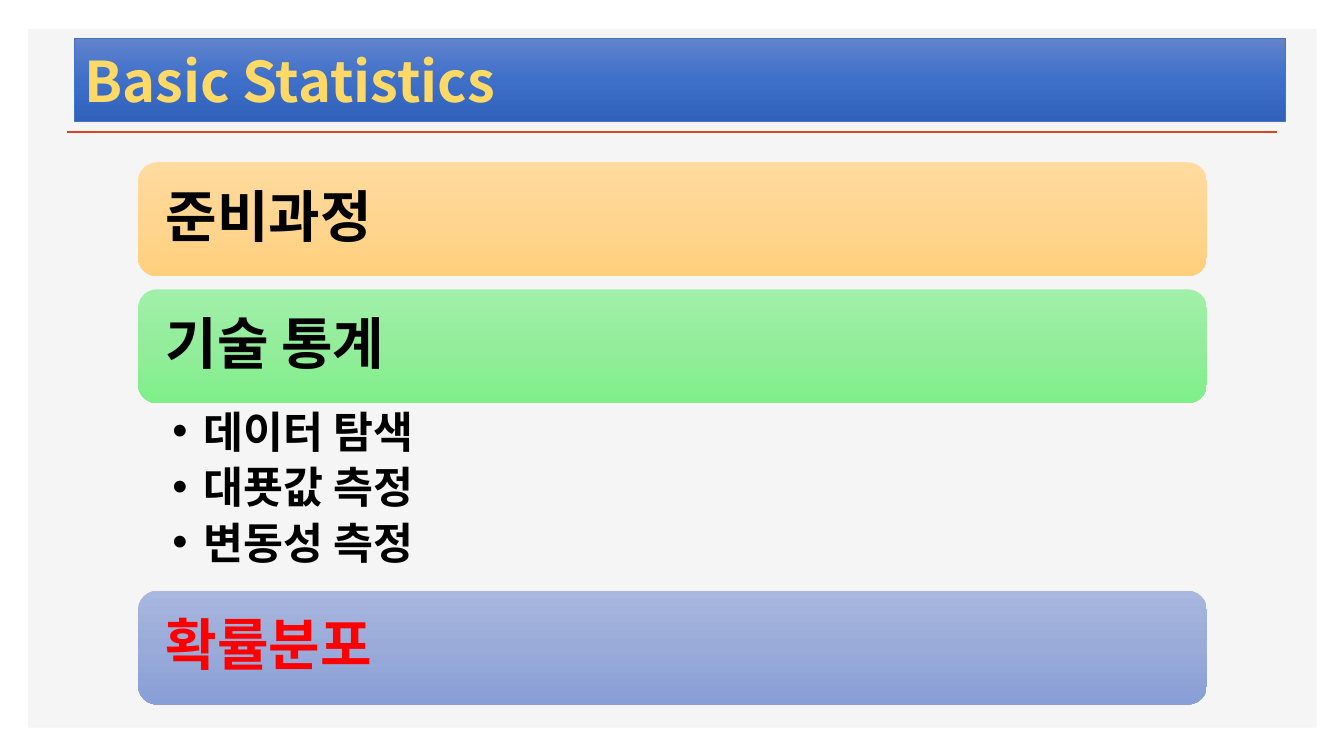
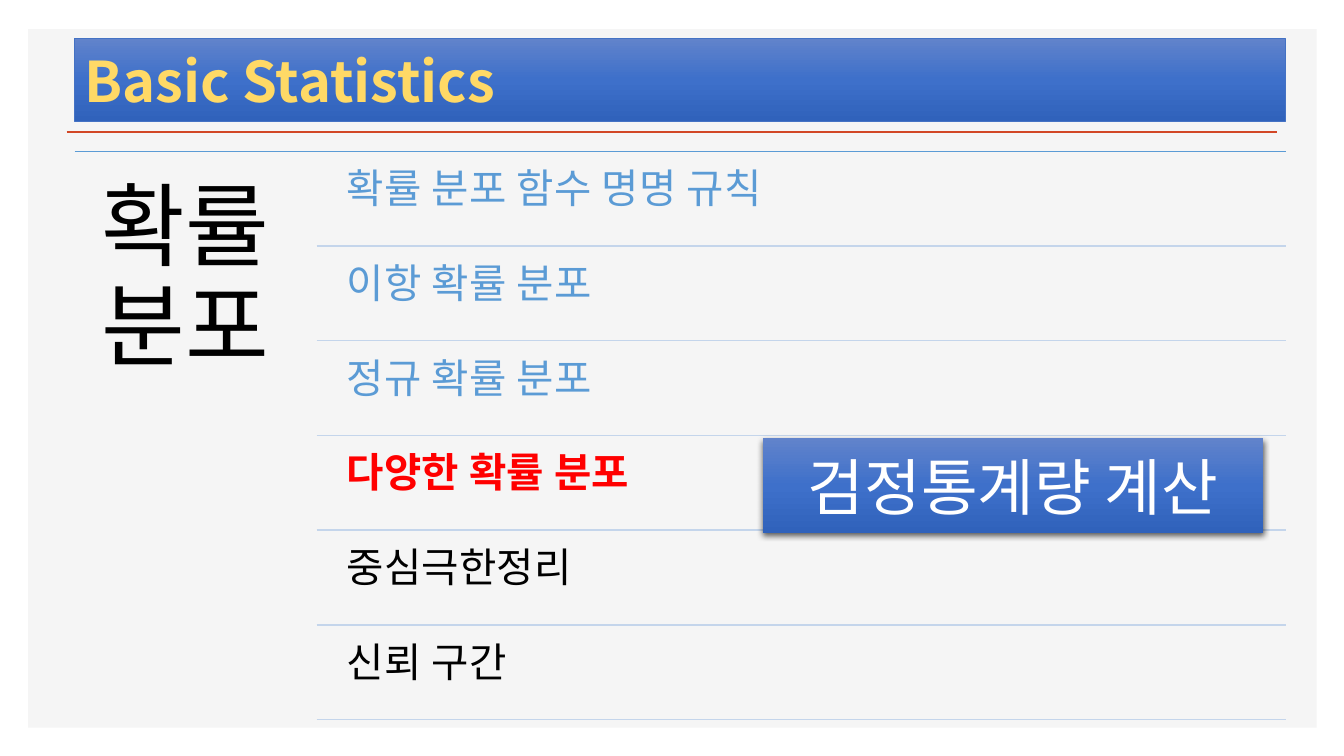
"""Build two Basic Statistics slides: the chapter overview and the probability topics."""
from copy import deepcopy

from lxml.etree import SubElement
from pptx import Presentation
from pptx.dml.color import RGBColor
from pptx.enum.shapes import MSO_CONNECTOR, MSO_SHAPE
from pptx.enum.text import MSO_ANCHOR, MSO_AUTO_SIZE, PP_ALIGN
from pptx.oxml.ns import qn
from pptx.util import Inches, Pt

BLACK = RGBColor(0x00, 0x00, 0x00)
WHITE = RGBColor(0xFF, 0xFF, 0xFF)
RED = RGBColor(0xFF, 0x00, 0x00)
GOLD = RGBColor(0xFF, 0xD9, 0x66)
PANEL = RGBColor(0xF5, 0xF5, 0xF5)
RULE = RGBColor(0xD2, 0x47, 0x26)
BAND_EDGE = RGBColor(0x44, 0x72, 0xC4)
SKY = RGBColor(0x5B, 0x9B, 0xD5)
PALE = RGBColor(0xC4, 0xD5, 0xEB)
BLUES = [RGBColor(0x61, 0x83, 0xCB), RGBColor(0x3E, 0x70, 0xCA), RGBColor(0x30, 0x62, 0xBB)]
ORANGES = [RGBColor(0xFF, 0xDB, 0x9E), RGBColor(0xFF, 0xD5, 0x90), RGBColor(0xFF, 0xD0, 0x7C)]
GREENS = [RGBColor(0xA1, 0xF0, 0xA9), RGBColor(0x93, 0xED, 0x9B), RGBColor(0x7F, 0xEF, 0x89)]
LAVENDERS = [RGBColor(0xA8, 0xB7, 0xDF), RGBColor(0x9A, 0xAB, 0xD9), RGBColor(0x88, 0x9E, 0xD7)]
NOTO = "Noto Sans CJK KR"
ROBOTO = "Roboto"


def write(paragraph, text, size, color, font=NOTO, bold=False):
    run = paragraph.add_run()
    run.text = text
    run.font.name = font
    run.font.size = Pt(size)
    run.font.bold = bold
    run.font.color.rgb = color
    SubElement(run._r.get_or_add_rPr(), qn("a:ea"), typeface=font)


def paint(shape, colors):
    shape.fill.gradient()
    shape.fill.gradient_angle = 270
    stop_list = shape.element.spPr.find(".//" + qn("a:gsLst"))
    stop_list.append(deepcopy(stop_list[-1]))
    for stop, color, position in zip(shape.fill.gradient_stops, colors, (0, 0.5, 1)):
        stop.color.rgb = color
        stop.position = position


presentation = Presentation()
presentation.slide_width = Inches(13.33)
presentation.slide_height = Inches(7.5)
content_layout = presentation.slide_layouts[1]
overview, topics = [presentation.slides.add_slide(content_layout) for _ in range(2)]

panel = overview.shapes.add_shape(
    MSO_SHAPE.RECTANGLE, Inches(0.28), Inches(0.29), Inches(12.78), Inches(6.93))
panel.fill.solid()
panel.fill.fore_color.rgb = PANEL
panel.line.fill.background()
panel.shadow.inherit = False

title_rule = overview.shapes.add_connector(
    MSO_CONNECTOR.STRAIGHT, Inches(0.66), Inches(1.31), Inches(12.67), Inches(1.31))
title_rule.line.color.rgb = RULE
title_rule.line.width = Pt(2)
SubElement(title_rule.element.spPr, qn("a:effectLst"))

master_tree = presentation.slide_master.shapes.element
for index, part in enumerate((panel, title_rule)):
    part.element.find(".//" + qn("p:cNvPr")).set("id", str(101 + index))
    master_tree.insert(2 + index, part.element)

for slide in (overview, topics):
    title = slide.shapes.title
    title.left, title.top = Inches(0.74), Inches(0.38)
    title.width, title.height = Inches(12.01), Inches(0.82)
    paint(title, BLUES)
    title.line.color.rgb = BAND_EDGE
    title.line.width = Pt(0.5)
    title.text_frame.vertical_anchor = MSO_ANCHOR.MIDDLE
    title.text_frame.auto_size = MSO_AUTO_SIZE.NONE
    paragraph = title.text_frame.paragraphs[0]
    paragraph.alignment = PP_ALIGN.LEFT
    write(paragraph, "Basic Statistics", 40, GOLD, bold=True)

chapters = [
    ("준비과정", 1.61, ORANGES, BLACK),
    ("기술 통계", 2.87, GREENS, BLACK),
    ("확률분포", 5.86, LAVENDERS, RED),
]
for text, top, colors, color in chapters:
    chapter = overview.shapes.add_shape(
        MSO_SHAPE.ROUNDED_RECTANGLE, Inches(1.37), Inches(top), Inches(10.6), Inches(1.13))
    paint(chapter, colors)
    chapter.line.fill.background()
    chapter.shadow.inherit = False
    chapter.text_frame.margin_left = Inches(0.22)
    chapter.text_frame.vertical_anchor = MSO_ANCHOR.MIDDLE
    paragraph = chapter.text_frame.paragraphs[0]
    paragraph.alignment = PP_ALIGN.LEFT
    paragraph.line_spacing = 0.9
    write(paragraph, text, 40, color, bold=True)

heading = topics.shapes.add_textbox(Inches(0.74), Inches(1.5), Inches(2.4), Inches(5.69))
frame = heading.text_frame
frame.word_wrap = True
frame.margin_left = frame.margin_right = frame.margin_top = frame.margin_bottom = Inches(0.27)
frame.paragraphs[0].line_spacing = Pt(71)
write(frame.paragraphs[0], "확률분포", 65, BLACK, ROBOTO)

steps = [(text, BLACK, True) for text in ("데이터 탐색", "대푯값 측정", "변동성 측정")]
subjects = [
    ("확률 분포 함수 명명 규칙", SKY, False),
    ("이항 확률 분포", SKY, False),
    ("정규 확률 분포", SKY, False),
    ("다양한 확률 분포", RED, True),
    ("중심극한정리", BLACK, False),
    ("신뢰 구간", BLACK, False),
]
lists = [
    (overview, steps, (1.37, 4, 10.6, 1.86), (0.34, 0.06), 0.31, NOTO, 31, 34, 5.7),
    (topics, subjects, (3.32, 1.54, 9.43, 5.61), (0.12, 0.12), 0, ROBOTO, 29, 31.5, 36.3),
]
for slide, items, box, margins, indent, font, size, spacing, gap in lists:
    body = slide.placeholders[1]
    body.left, body.top, body.width, body.height = [Inches(length) for length in box]
    frame = body.text_frame
    frame.auto_size = MSO_AUTO_SIZE.NONE
    frame.vertical_anchor = MSO_ANCHOR.TOP
    frame.margin_left, frame.margin_top = [Inches(length) for length in margins]
    for index, (text, color, bold) in enumerate(items):
        paragraph = frame.add_paragraph() if index else frame.paragraphs[0]
        paragraph.line_spacing = Pt(spacing)
        paragraph.space_before = Pt(0)
        paragraph.space_after = Pt(gap)
        properties = paragraph._p.get_or_add_pPr()
        properties.set("marL", str(Inches(indent)))
        properties.set("indent", str(-Inches(indent)))
        if not indent:
            SubElement(properties, qn("a:buNone"))
        write(paragraph, text, size, color, font, bold)

for row in range(len(subjects) + 1):
    top = Inches(1.5 + row * 0.94)
    left = Inches(3.14 if row else 0.74)
    divider = topics.shapes.add_connector(
        MSO_CONNECTOR.STRAIGHT, left, top, Inches(12.75), top)
    divider.line.color.rgb = PALE if row else SKY
    divider.line.width = Pt(1)
    SubElement(divider.element.spPr, qn("a:effectLst"))

callout = topics.shapes.add_shape(
    MSO_SHAPE.RECTANGLE, Inches(7.57), Inches(4.35), Inches(4.96), Inches(0.94))
paint(callout, BLUES)
callout.line.fill.background()
callout.shadow.inherit = False
shadow = SubElement(
    callout.element.spPr.find(qn("a:effectLst")), qn("a:outerShdw"),
    blurRad=str(Pt(4.5)), dist=str(Pt(1.5)), dir="5400000", algn="ctr", rotWithShape="0")
shadow_color = SubElement(shadow, qn("a:srgbClr"), val=str(BLACK))
SubElement(shadow_color, qn("a:alpha"), val="63000")
callout.text_frame.vertical_anchor = MSO_ANCHOR.MIDDLE
paragraph = callout.text_frame.paragraphs[0]
paragraph.alignment = PP_ALIGN.CENTER
write(paragraph, "검정통계량 계산", 44, WHITE)

presentation.save("out.pptx")
